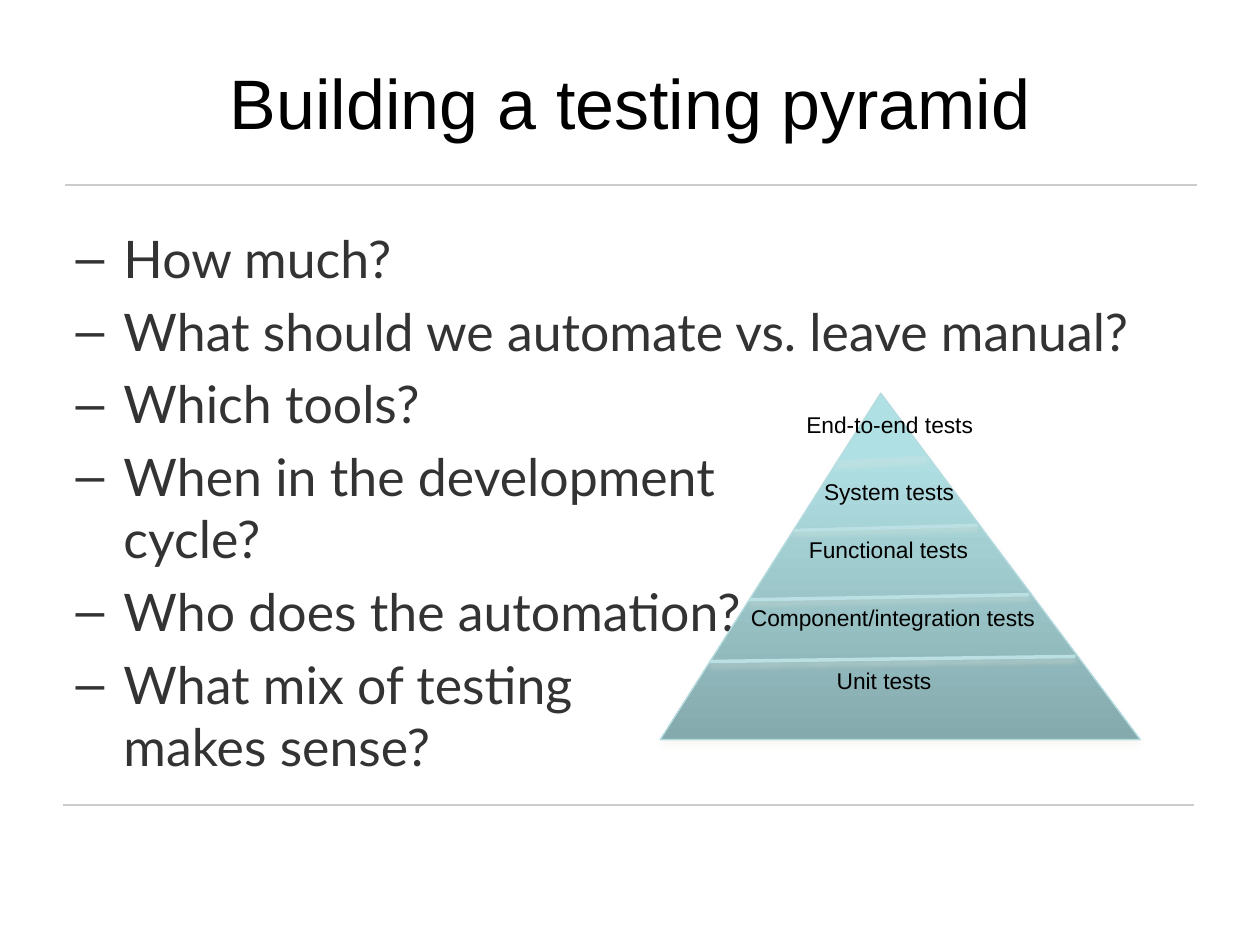
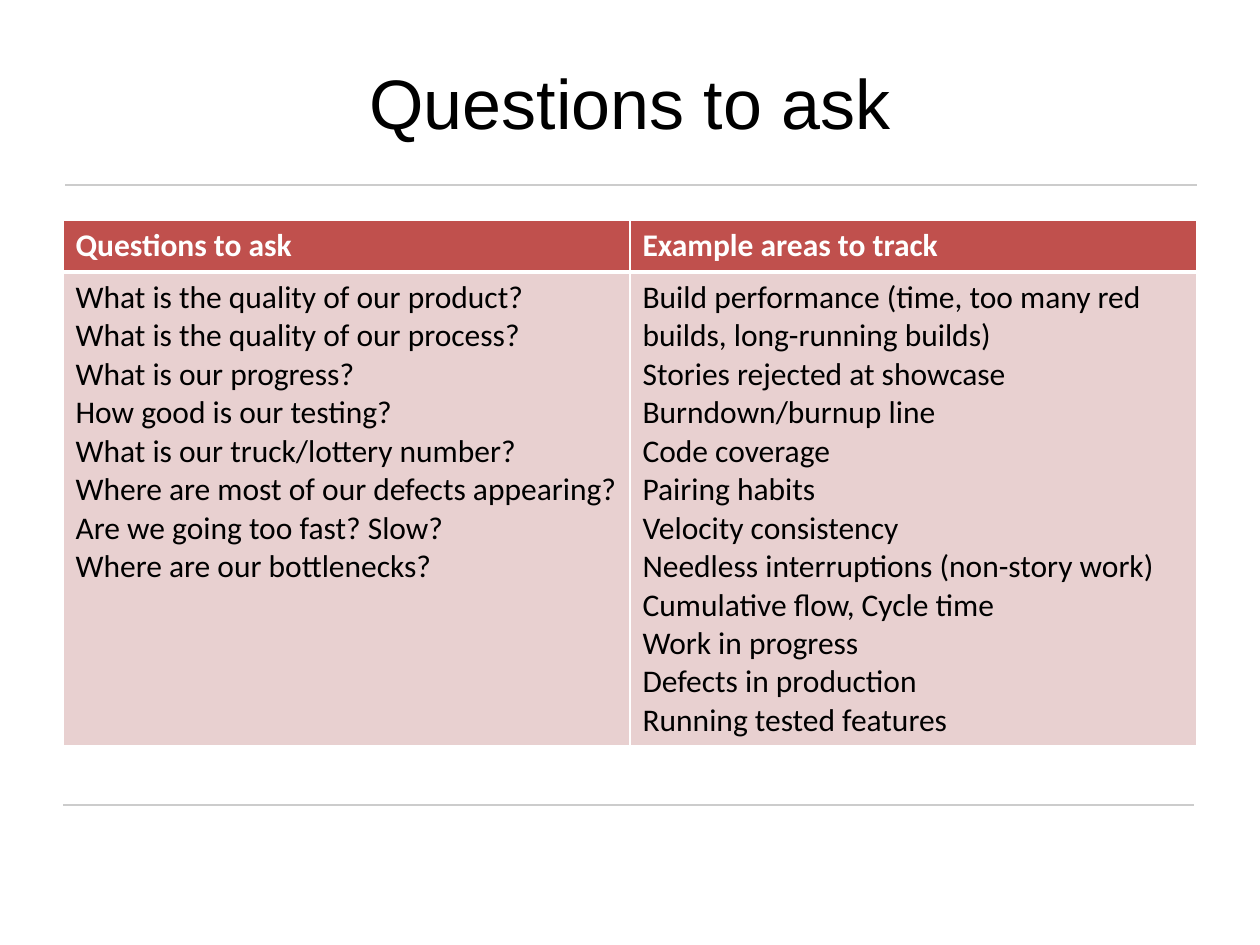
"""Build two slides on the testing pyramid and the questions to ask."""
from lxml.etree import SubElement
from pptx import Presentation
from pptx.dml.color import RGBColor
from pptx.enum.shapes import MSO_CONNECTOR
from pptx.enum.text import MSO_ANCHOR, MSO_AUTO_SIZE, PP_ALIGN
from pptx.oxml.ns import qn
from pptx.util import Inches, Pt

LINE = MSO_CONNECTOR.STRAIGHT
MIDDLE, TOP = MSO_ANCHOR.MIDDLE, MSO_ANCHOR.TOP
CENTER, LEFT = PP_ALIGN.CENTER, PP_ALIGN.LEFT
FIXED = MSO_AUTO_SIZE.NONE

COLORS = {
    "black": "000000", "white": "FFFFFF", "body": "333333", "rule": "CCCCCC",
    "edge": "B6DCDF", "split": "BBE0E3", "shade": "EEECE1",
    "head": "C0504D", "cell": "E8D0D0",
}
FADE = [(0, "AFE0E4"), (20, "AFDEE2"), (100, "85AAAD")]
RULES = [(0.5, 9.48, 6.39), (0.52, 9.5, 1.47)]

POINTS = [
    "How much?",
    "What should we automate vs. leave manual?",
    "Which tools?",
    "When in the development\vcycle?",
    "Who does the automation?",
    "What mix of testing\vmakes sense?",
]
APEX, BASE = (6.99, 3.12), (5.24, 9.05, 5.87)
SPLITS = [5.25, 4.76, 4.21, 3.67]
LABELS = [
    ("End-to-end tests", 6.4, 3.26, 1.34),
    ("System tests", 6.54, 3.79, 1.04),
    ("Functional tests", 6.42, 4.25, 1.28),
    ("Component/integration tests", 5.96, 4.79, 2.28),
    ("Unit tests", 6.64, 5.29, 0.76),
]
TABLE = {
    "Questions to ask": [
        "What is the quality of our product?",
        "What is the quality of our process?",
        "What is our progress?",
        "How good is our testing?",
        "What is our truck/lottery number?",
        "Where are most of our defects appearing?",
        "Are we going too fast? Slow?",
        "Where are our bottlenecks?",
    ],
    "Example areas to track": [
        "Build performance (time, too many red builds, long-running builds)",
        "Stories rejected at showcase",
        "Burndown/burnup line",
        "Code coverage",
        "Pairing habits",
        "Velocity consistency",
        "Needless interruptions (non-story work)",
        "Cumulative flow, Cycle time",
        "Work in progress",
        "Defects in production",
        "Running tested features",
    ],
}


def rgb(name):
    return RGBColor.from_string(COLORS[name])


def place(shape, *box):
    shape.left, shape.top, shape.width, shape.height = map(Inches, box)


def style(para, face, size, color, bold=False):
    font = para.font
    font.name, font.size, font.bold = face, Pt(size), bold
    font.color.rgb = rgb(color)


def add_color(parent, value):
    return SubElement(parent, qn("a:srgbClr"), val=value)


def shade(shape, alpha=None):
    effect = SubElement(shape.element.spPr, qn("a:effectLst"))
    if alpha:
        cast = SubElement(effect, qn("a:outerShdw"), blurRad=str(Pt(3)),
                          dist=str(Pt(2)), dir="5400000", rotWithShape="0")
        tint = add_color(cast, COLORS["shade"])
        SubElement(tint, qn("a:alpha"), val=str(alpha * 1000))


def add_line(slide, start, end, color, width, alpha=None):
    line = slide.shapes.add_connector(LINE, *map(Inches, start + end))
    line.line.color.rgb, line.line.width = rgb(color), Pt(width)
    shade(line, alpha)
    return line


def add_rules(deck, slide):
    tree = deck.slide_master.element.cSld.spTree
    for num, (left, right, y) in enumerate(RULES, 20):
        line = add_line(slide, (left, y), (right, y), "rule", 1)
        line.element.nvCxnSpPr.cNvPr.id = num
        tree.append(line.element)


def add_slide(deck, layout, text):
    slide = deck.slides.add_slide(deck.slide_layouts[layout])
    title = slide.shapes.title
    place(title, 0.5, 0.3, 9, 1.01)
    frame = title.text_frame
    frame.text, frame.vertical_anchor, frame.auto_size = text, MIDDLE, FIXED
    para = frame.paragraphs[0]
    para.alignment = CENTER
    style(para, "Arial", 40, "black")
    return slide


def fill_list(body):
    place(body, 0.5, 1.75, 9, 4.56)
    frame = body.text_frame
    frame.text = "\n".join(POINTS)
    frame.vertical_anchor, frame.auto_size = TOP, FIXED
    for i, para in enumerate(frame.paragraphs):
        props = para._p.get_or_add_pPr()
        props.set("marL", str(Inches(0.38)))
        props.set("indent", str(-Inches(0.38)))
        SubElement(props, qn("a:buChar"), char="–")
        para.alignment, para.space_before = LEFT, Pt(6 if i else 0)
        style(para, "Lato", 29.6, "body")


def edge(corner, y):
    x, top = APEX
    return x + (corner - x) * (y - top) / (BASE[2] - top), y


def add_pyramid(slide):
    left, right, foot = BASE
    form = slide.shapes.build_freeform(*map(Inches, APEX))
    form.add_line_segments([(Inches(x), Inches(foot)) for x in (left, right)])
    shape = form.convert_to_shape()
    shape.fill.gradient()
    shape.fill.gradient_angle = 270
    stops = shape.element.spPr.find(".//" + qn("a:gsLst"))
    stops.clear()
    for pos, value in FADE:
        add_color(SubElement(stops, qn("a:gs"), pos=str(pos * 1000)), value)
    shape.line.color.rgb, shape.line.width = rgb("edge"), Pt(0.75)
    shade(shape, 35)
    for y in SPLITS:
        x, end = edge(right, y - 0.04)
        add_line(slide, edge(left, y), (x - 0.02, end), "split", 2, 38)
    for text, x, y, width in LABELS:
        box = slide.shapes.add_textbox(*map(Inches, (x, y, width, 0.22)))
        frame = box.text_frame
        frame.margin_left = frame.margin_right = 0
        frame.margin_top = frame.margin_bottom = 0
        frame.word_wrap, frame.text = False, text
        style(frame.paragraphs[0], "Arial", 13, "black")


def fill_cell(cell, text, head):
    cell.text = text
    for para in cell.text_frame.paragraphs:
        style(para, "Calibri", 18, "white" if head else "black", head)
    cell.fill.solid()
    cell.fill.fore_color.rgb = rgb("head" if head else "cell")
    props = cell._tc.get_or_add_tcPr()
    for i, side in enumerate("LRTB"):
        thick = (side == "B") if head else (side == "T")
        line = SubElement(props, qn("a:ln" + side), w=str(Pt(3 if thick else 1)))
        add_color(SubElement(line, qn("a:solidFill")), COLORS["white"])
        props.insert(i, line)


def add_grid(slide):
    box = map(Inches, (0.5, 1.75, 9, 4.11))
    grid = slide.shapes.add_table(2, len(TABLE), *box).table
    for row, height in zip(grid.rows, (0.41, 3.7)):
        row.height = Inches(height)
    for i, (head, items) in enumerate(TABLE.items()):
        fill_cell(grid.cell(0, i), head, True)
        fill_cell(grid.cell(1, i), "\n".join(items), False)


def main():
    deck = Presentation()
    deck.slide_width, deck.slide_height = Inches(10), Inches(7.5)
    first = add_slide(deck, 1, "Building a testing pyramid")
    add_rules(deck, first)
    fill_list(first.placeholders[1])
    add_pyramid(first)
    add_grid(add_slide(deck, 5, "Questions to ask"))
    deck.save("out.pptx")


if __name__ == "__main__":
    main()
